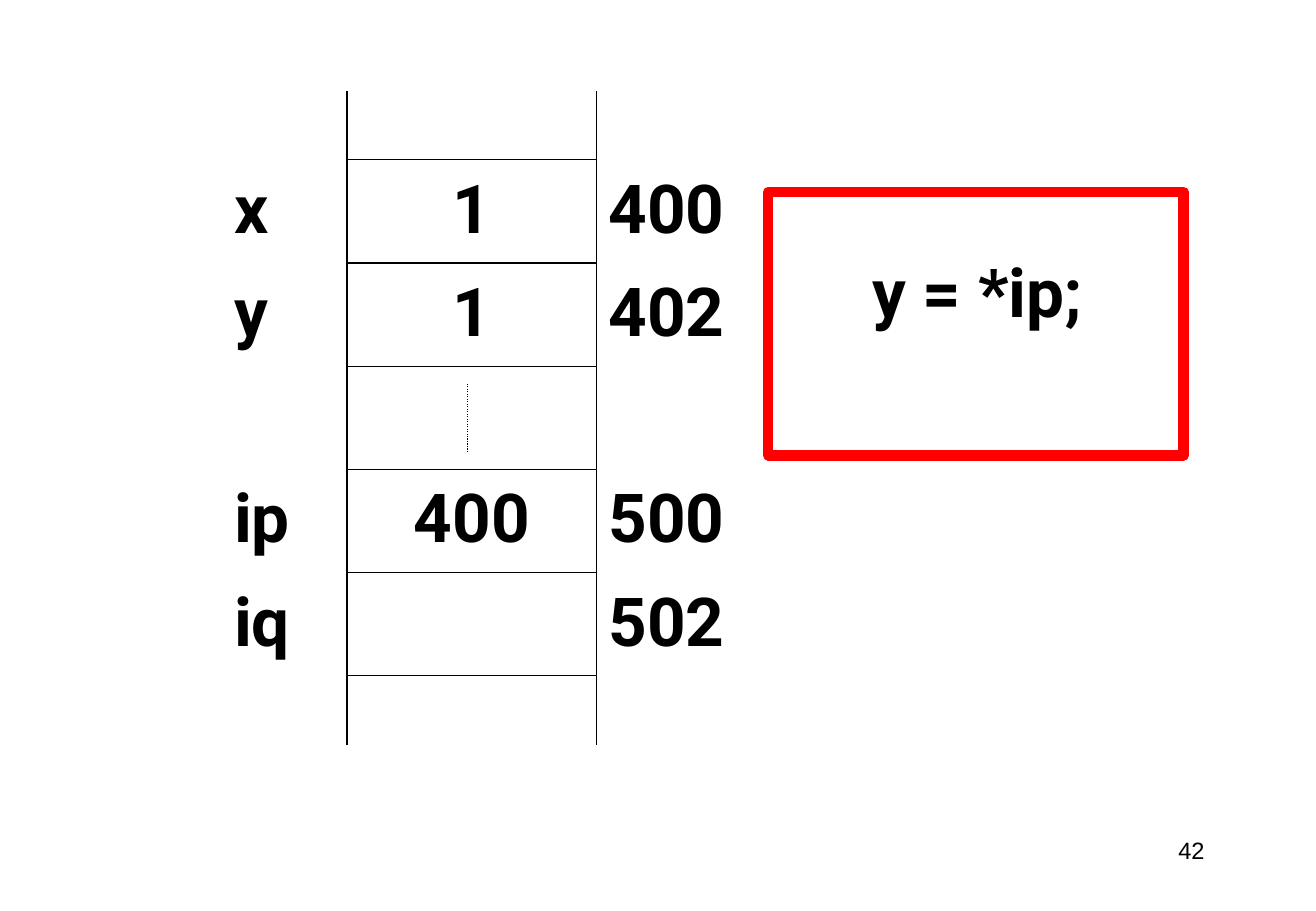
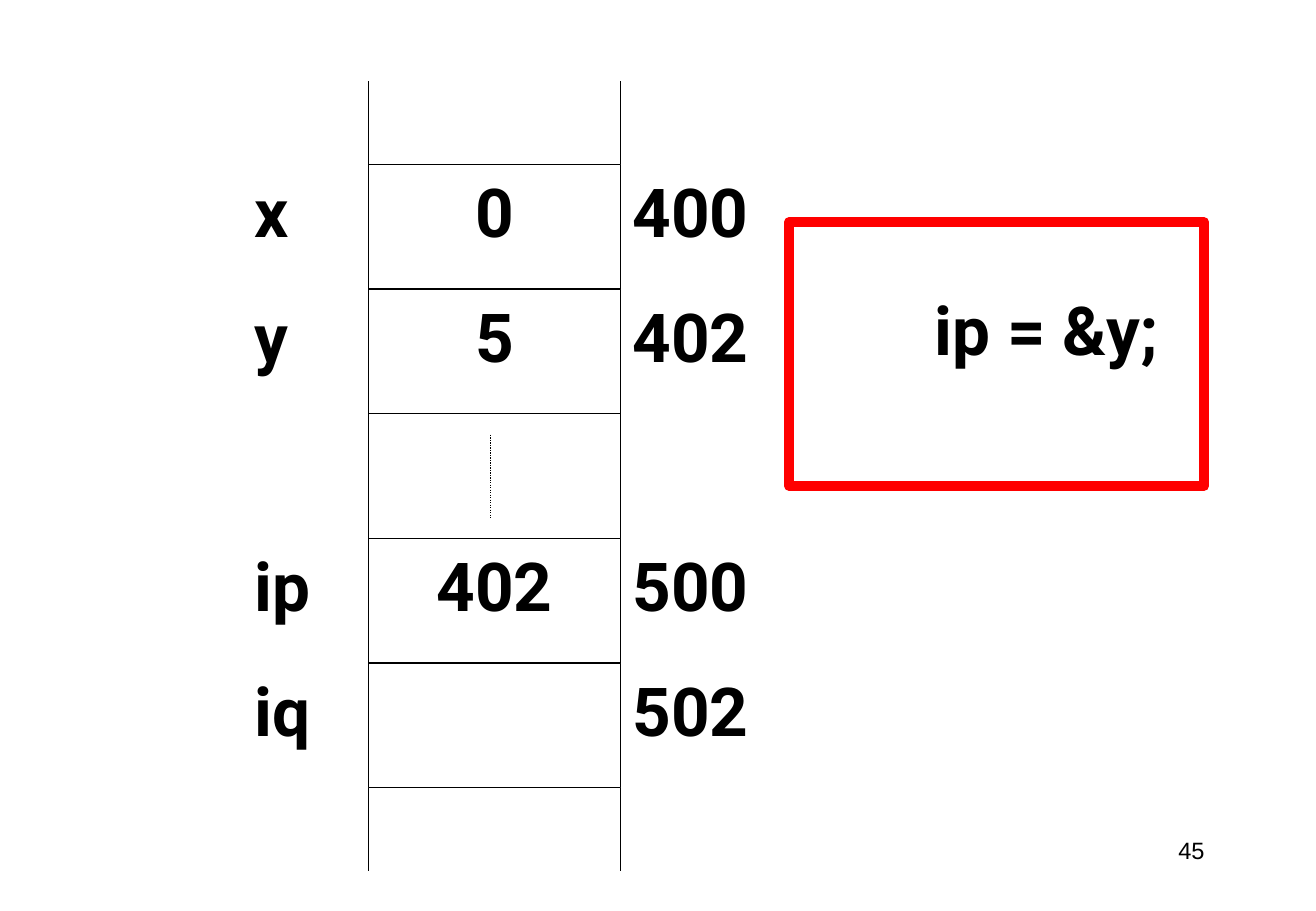
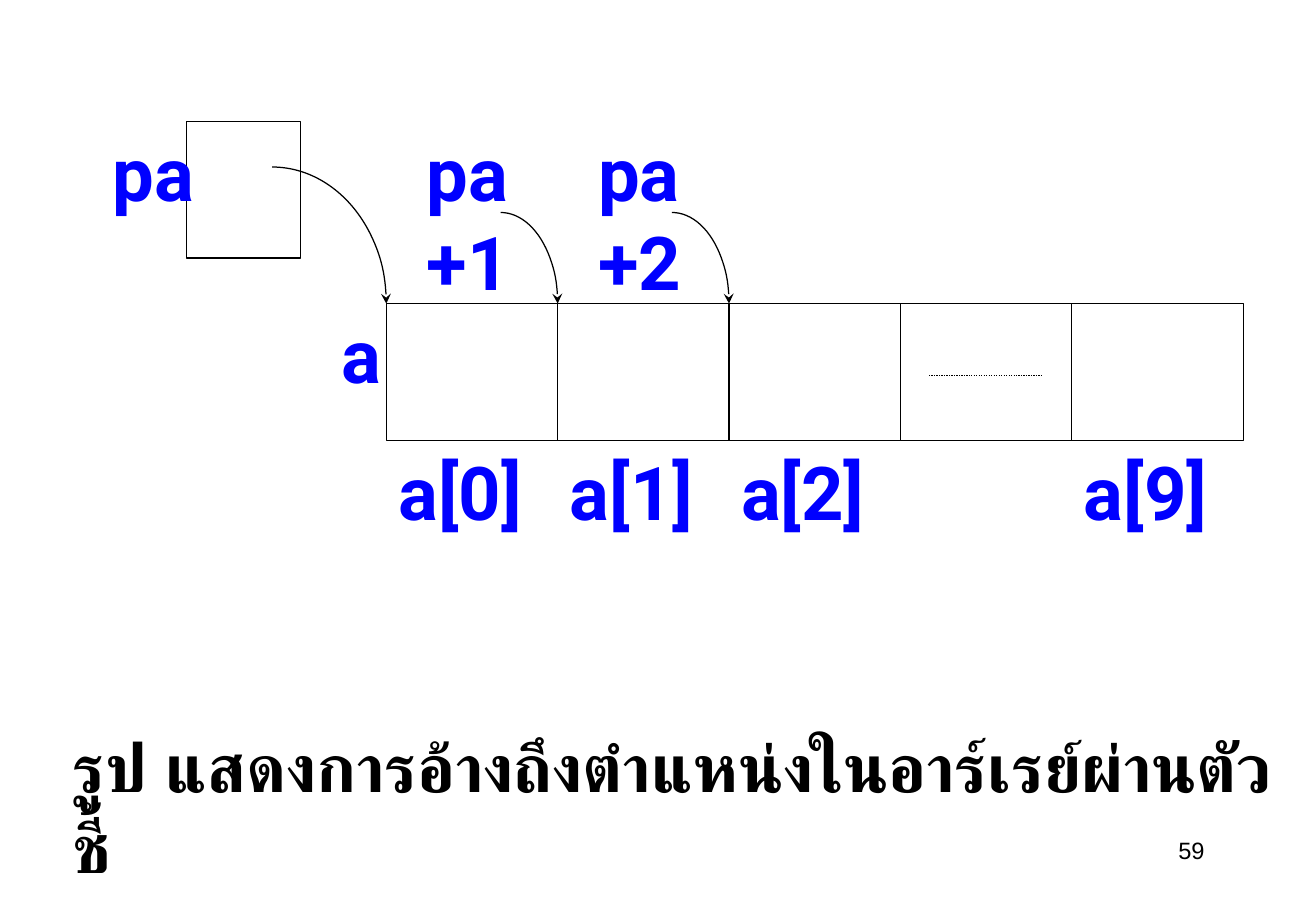
import dataclasses

import pptx
import pptx.dml.color
import pptx.enum.dml
import pptx.enum.shapes
import pptx.enum.text
import pptx.oxml.ns
import pptx.oxml.xmlchemy
import pptx.util
import lxml.etree

RGB = pptx.dml.color.RGBColor
SHAPE = pptx.enum.shapes.MSO_SHAPE
ALIGN = pptx.enum.text.PP_ALIGN
qn = pptx.oxml.ns.qn

BLACK = RGB(0x00, 0x00, 0x00)
WHITE = RGB(0xFF, 0xFF, 0xFF)
RED = RGB(0xFF, 0x00, 0x00)
BLUE = RGB(0x00, 0x00, 0xFF)
WIDTH = pptx.util.Inches(10.84)
HEIGHT = pptx.util.Inches(7.5)
THIN = 0.75
THICK = 6
STUB = 2 / 3


@dataclasses.dataclass
class Grid:
    """A box cut into equal columns and rows."""
    left: float
    top: float
    width: float
    height: float
    cols: float
    rows: float

    def place(self, col, row, wide, high):
        """Return left, top, width and height of a block of cells."""
        across, down = self.width / self.cols, self.height / self.rows
        return (round(self.left + col * across), round(self.top + row * down),
                round(wide * across), round(high * down))

    def split(self, box, cols, rows):
        """Return a finer grid inside a block of cells."""
        return Grid(*self.place(*box), cols, rows)


PAGE = Grid(0, 0, WIDTH, HEIGHT, 100, 100)


def write(frame, text, size=40, color=BLACK, font="Roboto", bold=True,
          align=ALIGN.LEFT):
    """Fill a text frame with one formatted paragraph."""
    frame.word_wrap = True
    frame.vertical_anchor = pptx.enum.text.MSO_ANCHOR.TOP
    para = frame.paragraphs[0]
    para.text = text
    para.alignment = align
    para.font.size = pptx.util.Pt(size)
    para.font.name = font
    para.font.bold = bold
    para.font.color.rgb = color


def label(slide, box, text, **style):
    """Add a text box."""
    write(slide.shapes.add_textbox(*box).text_frame, text, **style)


def outline(slide, kind, box, color=BLACK, weight=THIN, fill=None):
    """Add a preset shape with a plain outline."""
    shape = slide.shapes.add_shape(kind, *box)
    shape.shadow.inherit = False
    if fill is None:
        shape.fill.background()
    else:
        shape.fill.solid()
        shape.fill.fore_color.rgb = fill
    shape.line.color.rgb = color
    shape.line.width = pptx.util.Pt(weight)
    return shape


def cell(slide, box):
    """Add a white memory cell."""
    return outline(slide, SHAPE.RECTANGLE, box, fill=WHITE)


def rule(slide, box, dotted=False):
    """Add a straight line across a box from its first to its last corner."""
    left, top, wide, high = box
    line = slide.shapes.add_connector(
        pptx.enum.shapes.MSO_CONNECTOR.STRAIGHT,
        left, top, left + wide, top + high)
    line.line.color.rgb = BLACK
    line.line.width = pptx.util.Pt(THIN)
    if dotted:
        line.line.dash_style = pptx.enum.dml.MSO_LINE.ROUND_DOT
    lxml.etree.SubElement(line._element.spPr, qn("a:effectLst"))


def arrow(slide, grid, col, row, wide, high):
    """Add a quarter arc that bends right and down to an arrowhead."""
    box = grid.place(col - wide, row, 2 * wide, 2 * high)
    arc = outline(slide, SHAPE.ARC, box)
    line = arc._element.spPr.find(qn("a:ln"))
    lxml.etree.SubElement(line, qn("a:tailEnd")).set("type", "stealth")


def number(slide, text):
    """Add the page number."""
    label(slide, PAGE.place(71.59, 91.07, 20.85, 6.67), text, size=14,
          font="Arial", bold=False, align=ALIGN.RIGHT)


def stack(slide, box, cells):
    """Draw a column of memory cells with names and addresses."""
    grid = PAGE.split(box, 14, len(cells) + 2 * STUB)
    for row in (0, STUB + len(cells)):
        for col in (3, 9):
            rule(slide, grid.place(col, row, 0, STUB))
    for index, (name, value, place) in enumerate(cells):
        row = STUB + index
        block = cell(slide, grid.place(3, row, 6, 1))
        if value:
            write(block.text_frame, value, align=ALIGN.CENTER)
        if name:
            label(slide, grid.place(0, row, 4, 1), name)
            label(slide, grid.place(9, row, 5, 1), place)
        else:
            rule(slide, grid.place(5.9, row + 0.17, 0, STUB), dotted=True)


def code(slide, box, text, indent, drop):
    """Draw the red frame with a line of code."""
    area = PAGE.place(*box)
    shape = outline(slide, SHAPE.RECTANGLE, area, RED, THICK)
    shape.text_frame.margin_left = round(area[2] * indent)
    shape.text_frame.margin_top = round(area[3] * drop)
    write(shape.text_frame, text)


def array(slide, box):
    """Draw the array with its pointer and element labels."""
    grid = PAGE.split(box, 40, 10)
    style = {"size": 44, "color": BLUE}
    for index, name in enumerate(["a[0]", "a[1]", "a[2]", "", "a[9]"]):
        col = 10 + 6 * index
        cell(slide, grid.place(col, 4, 6, 3))
        if name:
            label(slide, grid.place(col, 7, 6, 3), name, **style)
        else:
            rule(slide, grid.place(col + 1, 5.58, 4, 0), dotted=True)
    cell(slide, grid.place(3, 0, 4, 3))
    for name, col, row, wide in [("a", 8, 4, 5), ("pa", 0, 0, 4),
                                 ("pa+1", 11, 0, 5), ("pa+2", 17, 0, 5)]:
        label(slide, grid.place(col, row, wide, 3), name, **style)
    arrow(slide, grid, 6, 1, 4, 3)
    for col in (14, 20):
        arrow(slide, grid, col, 2, 2, 2)


def memory(slide, page, box, values, frame):
    """Build a slide with a memory column and a line of code."""
    number(slide, page)
    names = ["x", "y", "", "ip", "iq"]
    places = ["400", "402", "", "500", "502"]
    stack(slide, box, list(zip(names, values, places)))
    code(slide, *frame)


def pointer(slide, page):
    """Build the slide on reaching array places through a pointer."""
    number(slide, page)
    label(slide, PAGE.place(4.61, 78.93, 92.99, 19.2),
          "รูป แสดงการอ้างถึงตำแหน่งในอาร์เรย์ผ่านตัวชี้")
    array(slide, (7.66, 13.33, 86.81, 50))


def main():
    """Build and save the three slides."""
    deck = pptx.Presentation()
    deck.slide_width, deck.slide_height = WIDTH, HEIGHT
    blank = deck.slide_layouts[6]
    memory(deck.slides.add_slide(blank), "42", (16.88, 10, 44.28, 71.73),
           ["1", "1", "", "400", ""],
           ((58.39, 21.07, 31.55, 28.93), "y = *ip;", 0.25, 0.22))
    memory(deck.slides.add_slide(blank), "45", (18.45, 8.93, 44.65, 86.67),
           ["0", "5", "", "402", ""],
           ((59.96, 24.4, 31.55, 28.93), "  ip = &y;", 0.27, 0.25))
    pointer(deck.slides.add_slide(blank), "59")
    deck.save("out.pptx")


if __name__ == "__main__":
    main()
